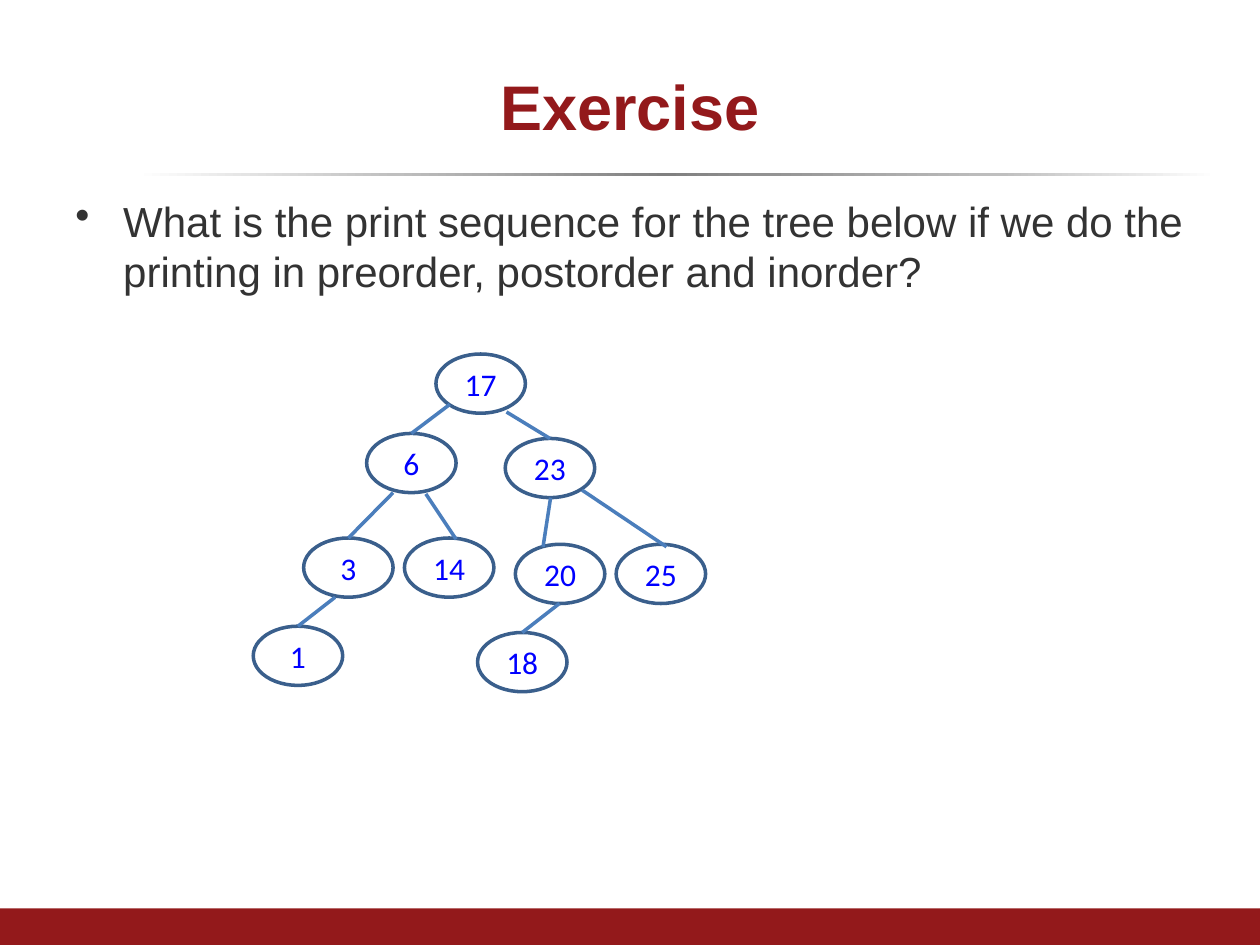
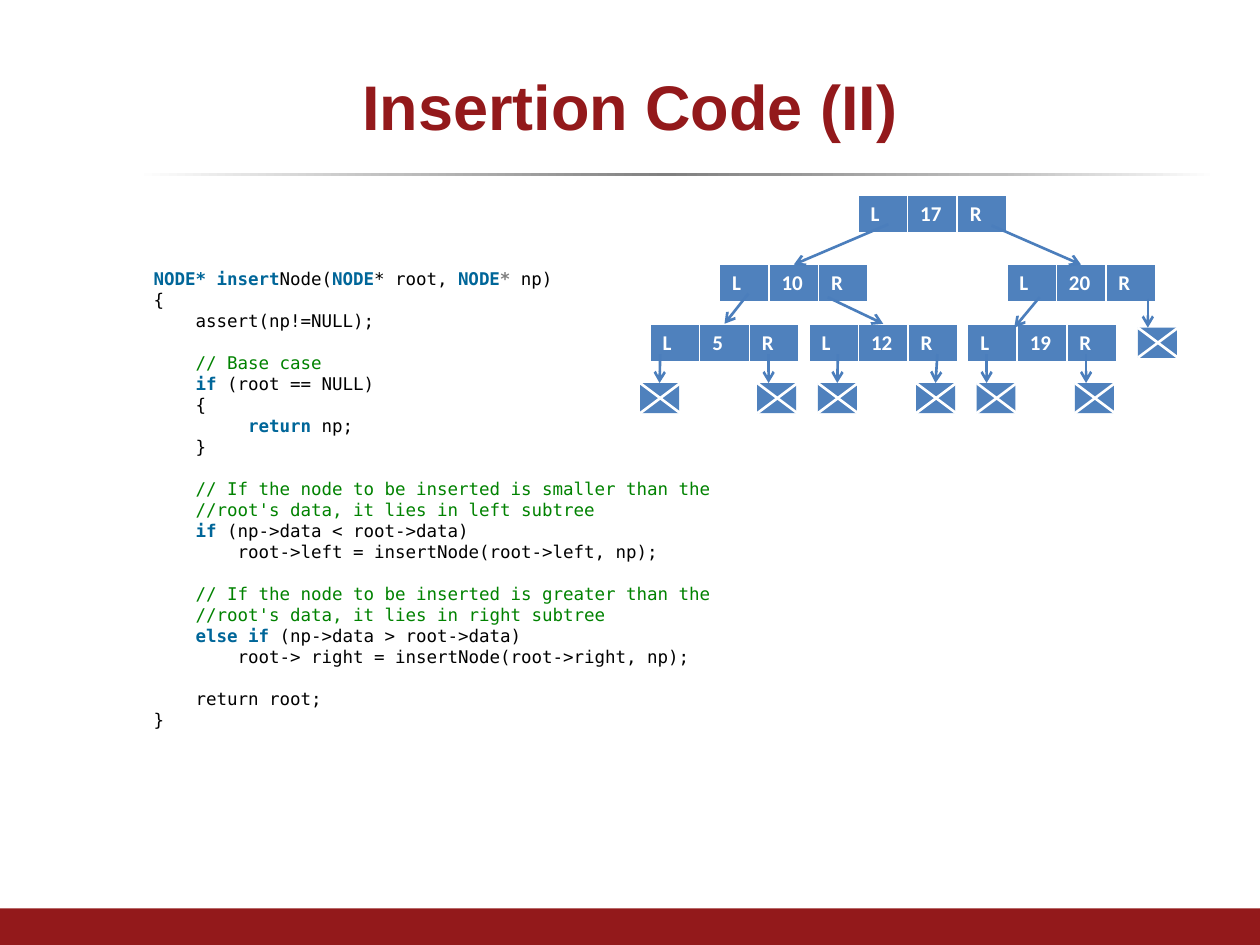
"""Two lecture slides on binary search trees: a traversal exercise and insertion code."""
from lxml import etree
from pptx import Presentation, util as u
from pptx.dml.color import RGBColor
from pptx.enum import shapes, text
from pptx.oxml import ns

COLORS = {
    "crimson": "93191B", "body": "333333", "node_line": "3A5F8C", "node_text": "0000FF",
    "edge": "4B7EBC", "cell": "4F81BD", "white": "FFFFFF", "silver": "BFBFBF",
    "gray": "808080", "keyword": "006699", "comment": "008200", "black": "000000",
}
RGB = {name: RGBColor.from_string(value) for name, value in COLORS.items()}
BOLD_CODE = ("keyword", "gray")


def write(frame, lines, size, font="Arial", color="black", bold=False, align="LEFT",
          anchor="TOP", inset=None, bullet=None, spacing=None):
    """Fill a frame; a line is a string or a list of (text, color) runs, None is a gap."""
    frame.word_wrap = True
    frame.vertical_anchor = getattr(text.MSO_ANCHOR, anchor)
    if inset is not None:
        frame.margin_left = frame.margin_right = frame.margin_top = frame.margin_bottom = inset
    gap, paragraph = False, None
    for line in lines:
        if line is None:
            gap = True
            continue
        paragraph = frame.add_paragraph() if paragraph is not None else frame.paragraphs[0]
        paragraph.alignment = getattr(text.PP_ALIGN, align)
        if spacing:
            paragraph.line_spacing = u.Pt(spacing)
            if gap:
                paragraph.space_before = u.Pt(spacing)
        gap = False
        if bullet:
            props = paragraph._p.get_or_add_pPr()
            props.set("marL", str(u.Inches(0.38)))
            props.set("indent", str(u.Inches(-0.38)))
            etree.SubElement(props, ns.qn("a:buChar"), char=bullet)
        for words, tint in [(line, color)] if isinstance(line, str) else line:
            run = paragraph.add_run()
            run.text = words
            run.font.name, run.font.size = font, u.Pt(size)
            run.font.bold = bold or tint in BOLD_CODE
            run.font.color.rgb = RGB[tint]


def connect(slide, start, end, color="edge", width=2.0, arrow=False, target=None):
    """Draw a line, joined to the target's top when it ends at the middle of it."""
    line = slide.shapes.add_connector(
        shapes.MSO_CONNECTOR.STRAIGHT, *(u.Inches(value) for value in (*start, *end)))
    line.line.color.rgb, line.line.width = RGB[color], u.Pt(width)
    if arrow:
        etree.SubElement(line.line._get_or_add_ln(), ns.qn("a:tailEnd"), type="arrow")
    etree.SubElement(line._element.spPr, ns.qn("a:effectLst"))
    if target is not None:
        middle = target.left + target.width // 2
        if abs(middle - u.Inches(end[0])) < u.Inches(0.03):
            line.end_connect(target, 0)


deck = Presentation()
deck.slide_width, deck.slide_height = u.Inches(10), u.Inches(7.5)
slides = []
for heading in ("Exercise", "Insertion Code (II)"):
    slide = deck.slides.add_slide(deck.slide_layouts[6])
    slides.append(slide)
    rule = slide.shapes.add_shape(
        shapes.MSO_SHAPE.RECTANGLE, u.Inches(1.08), u.Inches(1.37), u.Inches(8.58), u.Inches(0.03))
    rule.shadow.inherit = False
    rule.line.fill.background()
    rule.fill.gradient()
    rule.fill.gradient_angle = 0
    stops = rule._element.spPr.find(".//" + ns.qn("a:gsLst"))
    for stop in list(stops):
        stops.remove(stop)
    for percent, tint in ((0, "white"), (24, "silver"), (49, "gray"), (80, "silver"), (100, "white")):
        stop = etree.SubElement(stops, ns.qn("a:gs"), pos=str(percent * 1000))
        etree.SubElement(stop, ns.qn("a:srgbClr"), val=COLORS[tint])

    footer = slide.shapes.add_shape(
        shapes.MSO_SHAPE.RECTANGLE, 0, u.Inches(7.21), u.Inches(10), u.Inches(0.29))
    footer.shadow.inherit = False
    footer.fill.solid()
    footer.fill.fore_color.rgb = RGB["crimson"]
    footer.line.fill.background()

    title = slide.shapes.add_textbox(u.Inches(0.5), u.Inches(0.3), u.Inches(9), u.Inches(1.07))
    write(title.text_frame, [heading], 36, color="crimson", bold=True, align="CENTER", anchor="MIDDLE")

exercise, insertion = slides

question = exercise.shapes.add_textbox(u.Inches(0.5), u.Inches(1.5), u.Inches(9), u.Inches(5.67))
write(question.text_frame,
      ["What is the print sequence for the tree below if we do the printing in preorder, "
       "postorder and inorder?"], 24, color="body", bullet="•")

TREE = {17: (3.46, 2.81), 6: (2.91, 3.44), 23: (4.01, 3.48), 3: (2.41, 4.27), 14: (3.21, 4.27),
        20: (4.09, 4.32), 25: (4.89, 4.32), 1: (2.01, 4.97), 18: (3.79, 5.02)}
nodes = {}
for key, (left, top) in TREE.items():
    node = exercise.shapes.add_shape(
        shapes.MSO_SHAPE.OVAL, u.Inches(left), u.Inches(top), u.Inches(0.71), u.Inches(0.47))
    node.shadow.inherit = False
    node.fill.background()
    node.line.color.rgb, node.line.width = RGB["node_line"], u.Pt(2)
    write(node.text_frame, [str(key)], 18, font="Calibri", color="node_text",
          align="CENTER", anchor="MIDDLE")
    nodes[key] = node

BRANCHES = [
    (6, (3.57, 3.21), (3.27, 3.44)), (23, (4.02, 3.27), (4.37, 3.48)),
    (3, (3.12, 3.91), (2.77, 4.27)), (14, (3.38, 3.92), (3.62, 4.28)),
    (20, (4.37, 3.95), (4.31, 4.34)), (25, (4.62, 3.89), (5.29, 4.34)),
    (1, (2.66, 4.74), (2.36, 4.97)), (18, (4.44, 4.79), (4.13, 5.02)),
]
for child, start, end in BRANCHES:
    connect(exercise, start, end, target=nodes[child])

CODE = [
    [("NODE* insert", "keyword"), ("Node(", "black"), ("NODE", "keyword"), ("* root, ", "black"),
     ("NODE", "keyword"), ("* ", "gray"), ("np)", "black")],
    "{",
    "    assert(np!=NULL);",
    None,
    [("    // Base case", "comment")],
    [("    ", "black"), ("if", "keyword"), (" (root == NULL)", "black")],
    "    {",
    [("         ", "black"), ("return ", "keyword"), ("np;", "black")],
    "    }",
    None,
    [("    // If the node to be inserted is smaller than the", "comment")],
    [("    //root's data, it lies in left subtree", "comment")],
    [("    ", "black"), ("if", "keyword"), (" (np->data < root->data)", "black")],
    "        root->left = insertNode(root->left, np);",
    None,
    [("    // If the node to be inserted is greater than the", "comment")],
    [("    //root's data, it lies in right subtree", "comment")],
    [("    ", "black"), ("else if", "keyword"), (" (np->data > root->data)", "black")],
    "        root-> right = insertNode(root->right, np);",
    None,
    "    return root;",
    "}",
]
listing = insertion.shapes.add_textbox(u.Inches(1.22), u.Inches(2.13), u.Inches(4.88), u.Inches(3.84))
write(listing.text_frame, CODE, 10, font="DejaVu Sans Mono", inset=0, spacing=12)

RECORDS = [(17, 6.81, 1.55), (10, 5.71, 2.1), (20, 7.99, 2.1),
           (5, 5.16, 2.57), (12, 6.42, 2.57), (19, 7.68, 2.57)]
for key, left, top in RECORDS:
    record = insertion.shapes.add_table(
        1, 3, u.Inches(left), u.Inches(top), u.Inches(1.18), u.Inches(0.31)).table
    for column, label in enumerate(("L", str(key), "R")):
        record.columns[column].width = u.Inches(1.18 / 3)
        cell = record.cell(0, column)
        write(cell.text_frame, [label], 12, font="Calibri", color="white", bold=True)
        props = cell._tc.get_or_add_tcPr()
        for side, width in (("L", 1), ("R", 1), ("T", 1), ("B", 3)):
            border = etree.SubElement(props, ns.qn("a:ln" + side), w=str(u.Pt(width)))
            paint = etree.SubElement(border, ns.qn("a:solidFill"))
            etree.SubElement(paint, ns.qn("a:srgbClr"), val=COLORS["white"])
        cell.fill.solid()
        cell.fill.fore_color.rgb = RGB["cell"]

POINTERS = [((7.05, 1.78), (6.3, 2.1)), ((5.94, 2.33), (5.75, 2.57)), ((7.87, 1.79), (8.58, 2.1)),
            ((8.25, 2.36), (8.05, 2.6)), ((6.57, 2.36), (7.01, 2.57))]
for start, end in POINTERS:
    connect(insertion, start, end, width=1.5, arrow=True)

NULLS = [(5.08, 3.04, 5.24), (6.01, 3.04, 6.1), (6.49, 3.04, 6.65), (7.27, 3.04, 7.44),
         (7.75, 3.04, 7.83), (8.53, 3.04, 8.62), (9.03, 2.6, 9.11)]
for left, top, pointer in NULLS:
    null = insertion.shapes.add_shape(
        shapes.MSO_SHAPE.RECTANGLE, u.Inches(left), u.Inches(top), u.Inches(0.31), u.Inches(0.24))
    null.shadow.inherit = False
    null.fill.solid()
    null.fill.fore_color.rgb = RGB["cell"]
    null.line.fill.background()
    right, bottom = left + 0.32, top + 0.24
    connect(insertion, (left, top), (right, bottom), color="white", width=1.5)
    connect(insertion, (right, top), (left, bottom), color="white", width=1.5)
    connect(insertion, (pointer, top - 0.23), (pointer, top), width=1.5, arrow=True, target=null)

deck.save("out.pptx")
